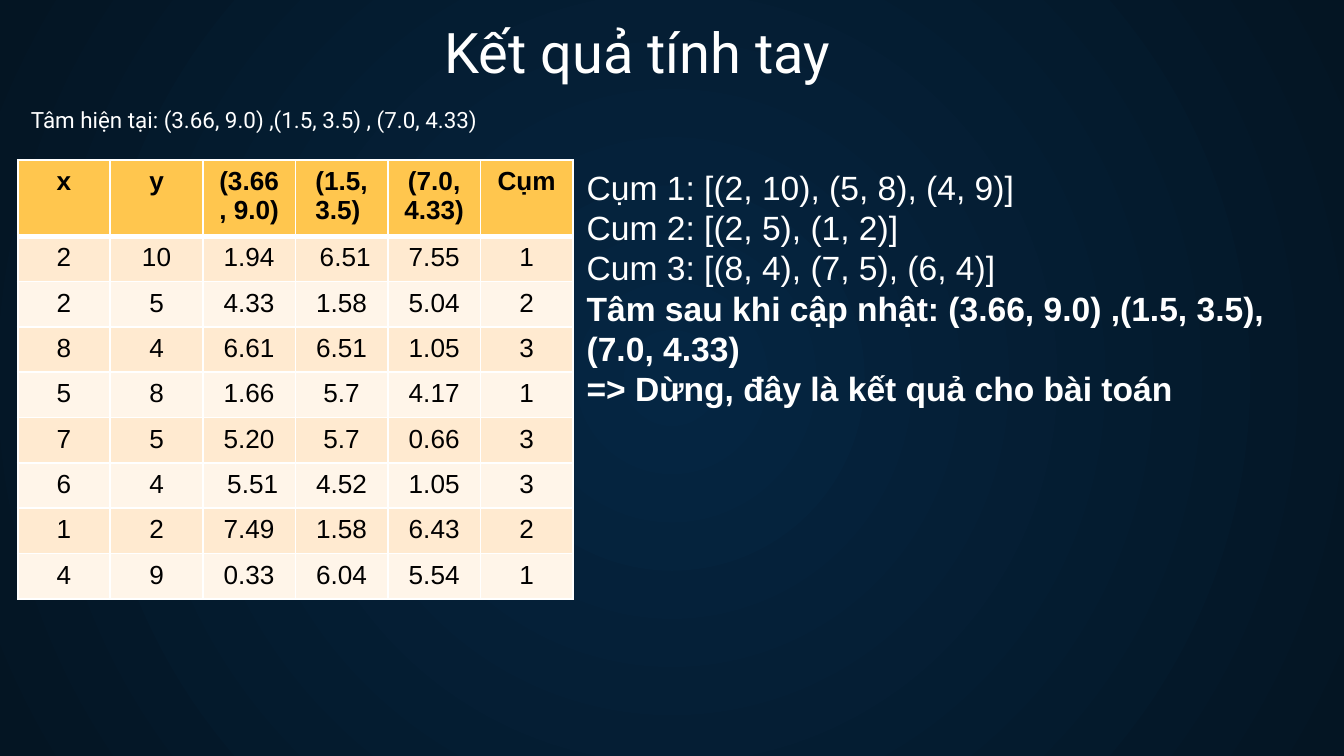
from lxml import etree
from pptx import Presentation
from pptx.dml.color import RGBColor
from pptx.enum.text import MSO_ANCHOR, PP_ALIGN
from pptx.oxml.ns import qn
from pptx.util import Pt

TOP, BOTTOM = MSO_ANCHOR.TOP, MSO_ANCHOR.BOTTOM
LEFT, CENTER = PP_ALIGN.LEFT, PP_ALIGN.CENTER

HEADERS = ["x", "y", "(3.66, 9.0) ", "(1.5, 3.5) ", "(7.0, 4.33)", "Cụm"]
DISTANCES = [
    ["2", "10", "1.94", " 6.51", "7.55", "1"],
    ["2", "5", "4.33", "1.58", "5.04", "2"],
    ["8", "4", "6.61", "6.51", "1.05", "3"],
    ["5", "8", "1.66", "5.7", "4.17", "1"],
    ["7", "5", "5.20", "5.7", "0.66", "3"],
    ["6", "4", " 5.51", "4.52", "1.05", "3"],
    ["1", "2", "7.49", "1.58", "6.43", "2"],
    ["4", "9", "0.33", "6.04", "5.54", "1"],
]
CLUSTERS = [
    ("Cụm 1: [(2, 10), (5, 8), (4, 9)]", False),
    ("Cum 2: [(2, 5), (1, 2)]", False),
    ("Cum 3: [(8, 4), (7, 5), (6, 4)]", False),
    ("Tâm sau khi cập nhật: (3.66, 9.0) ,(1.5, 3.5), (7.0, 4.33)", True),
    ("=> Dừng, đây là kết quả cho bài toán", True),
]


def color(hex_code):
    return RGBColor.from_string(hex_code)


class ResultSlide:
    heading_font = "Roboto"
    body_font = "Arial"
    light = "FFFFFF"
    dark = "000000"
    header_fill = "FFC64E"
    band_fills = ("FFEAD0", "FFF5E9")

    def __init__(self, slide):
        self.slide = slide

    def background(self, center, edge):
        fill = self.slide.background.fill
        fill.gradient()
        for stop, shade in zip(fill.gradient_stops, (center, edge)):
            stop.color.rgb = color(shade)
        gradient = self.slide.element.find(".//" + qn("a:gradFill"))
        gradient.remove(gradient.find(qn("a:lin")))
        circle = etree.SubElement(gradient, qn("a:path"), {"path": "circle"})
        etree.SubElement(circle, qn("a:fillToRect"),
                         dict.fromkeys("ltrb", "50000"))

    def add_words(self, paragraph, words, size, font, shade, bold=False, align=LEFT):
        paragraph.alignment = align
        run = paragraph.add_run()
        run.text = words
        run.font.size = Pt(size)
        run.font.name = font
        run.font.bold = bold
        run.font.color.rgb = color(shade)

    def text(self, box, lines, size, font, align=LEFT, anchor=TOP, inset=3.6):
        frame = self.slide.shapes.add_textbox(*map(Pt, box)).text_frame
        frame.word_wrap = True
        frame.vertical_anchor = anchor
        frame.margin_top = frame.margin_bottom = Pt(inset)
        for index, (words, bold) in enumerate(lines):
            paragraph = frame.add_paragraph() if index else frame.paragraphs[0]
            self.add_words(paragraph, words, size, font, self.light, bold, align)

    def heading(self, box, words, size, align=LEFT):
        self.text(box, [(words, False)], size, self.heading_font, align, BOTTOM, 7.2)

    def border(self, cell, side, width):
        line = etree.SubElement(cell._tc.get_or_add_tcPr(), qn("a:ln" + side),
                                {"w": str(Pt(width))})
        solid = etree.SubElement(line, qn("a:solidFill"))
        etree.SubElement(solid, qn("a:srgbClr"), {"val": self.light})

    def table(self, left, top, column_width, row_height, rows):
        grid = self.slide.shapes.add_table(
            len(rows), len(rows[0]), Pt(left), Pt(top),
            Pt(column_width * len(rows[0])), Pt(row_height * len(rows))).table
        for column in grid.columns:
            column.width = Pt(column_width)
        for r, values in enumerate(rows):
            grid.rows[r].height = Pt(row_height)
            fill = self.band_fills[(r - 1) % 2] if r else self.header_fill
            widths = {"L": 1, "R": 1, "T": 3 if r == 1 else 1, "B": 1 if r else 3}
            for c, value in enumerate(values):
                cell = grid.cell(r, c)
                for side, width in widths.items():
                    self.border(cell, side, width)
                cell.fill.solid()
                cell.fill.fore_color.rgb = color(fill)
                self.add_words(cell.text_frame.paragraphs[0], value, 14,
                               self.body_font, self.dark, r == 0, CENTER)


def main():
    deck = Presentation()
    deck.slide_width, deck.slide_height = Pt(720), Pt(405)
    page = ResultSlide(deck.slides.add_slide(deck.slide_layouts[6]))
    page.background("052643", "041523")
    page.heading((33, 5, 617, 47.5), "Kết quả tính tay", 30, CENTER)
    page.table(9.5, 85.7, 49.6, 24.3, [HEADERS] + DISTANCES)
    page.heading((9.5, 52.5, 269.5, 26),
                 "Tâm hiện tại: (3.66, 9.0) ,(1.5, 3.5) , (7.0, 4.33)", 12)
    page.text((307.2, 85.7, 383, 138), CLUSTERS, 18, page.body_font)
    deck.save("out.pptx")


if __name__ == "__main__":
    main()
